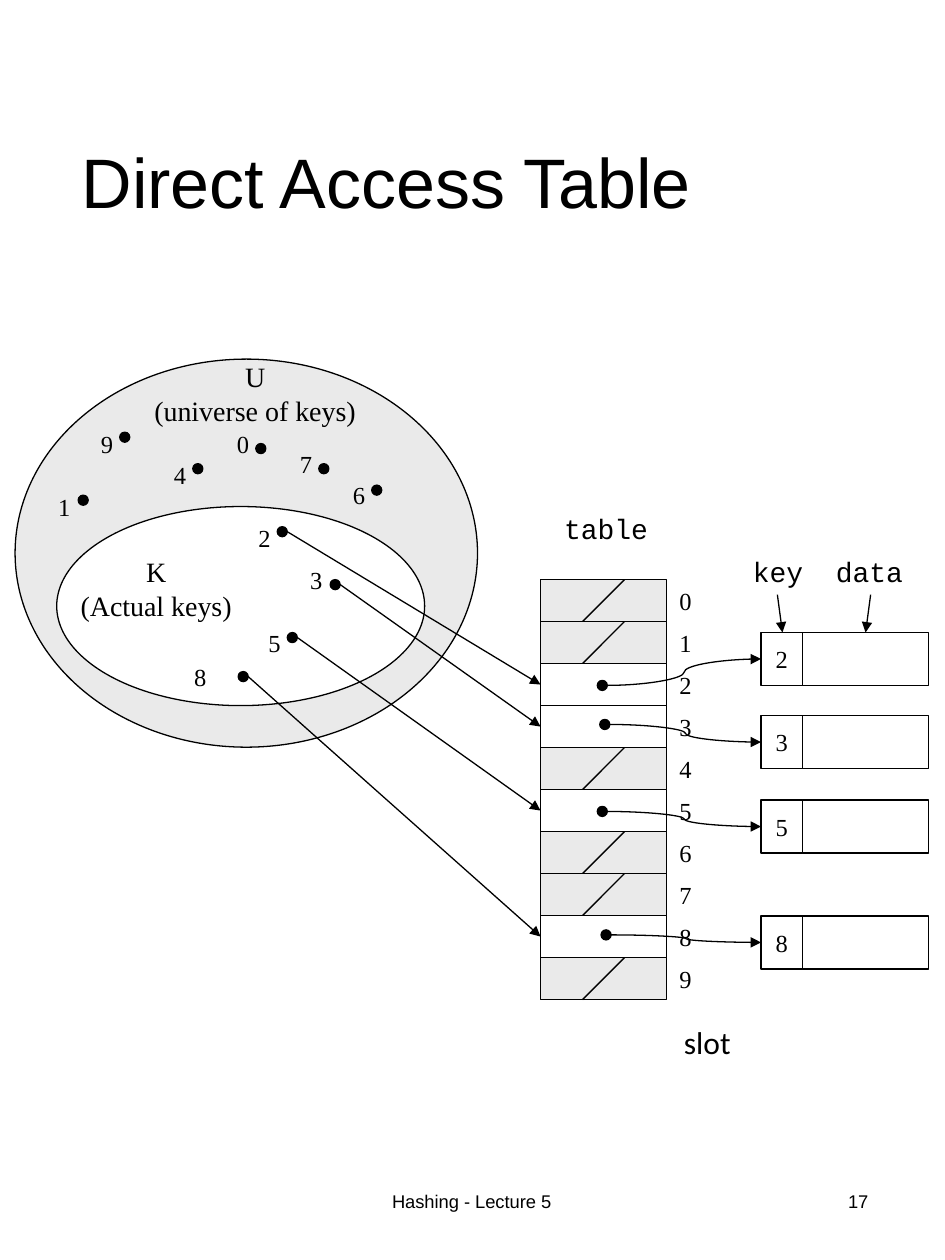
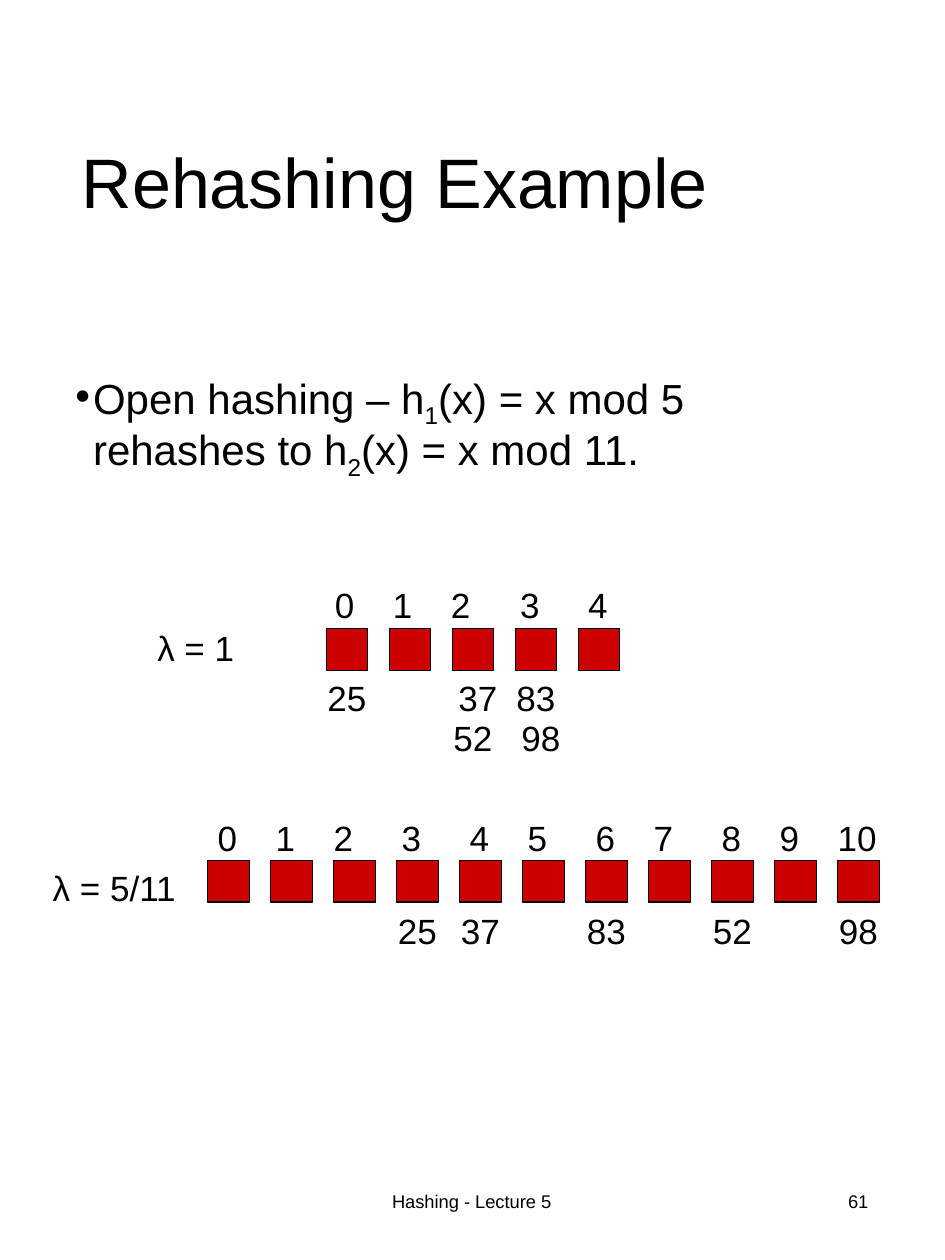
"""Build two lecture slides on hashing: a direct access table and a rehashing example."""
from dataclasses import dataclass

from lxml import etree
from pptx import Presentation
from pptx.dml.color import RGBColor
from pptx.enum.shapes import MSO_CONNECTOR, MSO_SHAPE
from pptx.enum.text import MSO_ANCHOR, PP_ALIGN
from pptx.oxml.ns import qn
from pptx.util import Inches, Pt

RECT, OVAL = MSO_SHAPE.RECTANGLE, MSO_SHAPE.OVAL
STRAIGHT, CURVE = MSO_CONNECTOR.STRAIGHT, MSO_CONNECTOR.CURVE
LEFT, CENTER, RIGHT = PP_ALIGN.LEFT, PP_ALIGN.CENTER, PP_ALIGN.RIGHT
TOP, MIDDLE = MSO_ANCHOR.TOP, MSO_ANCHOR.MIDDLE


@dataclass(frozen=True)
class Theme:
    """Colours, fonts and type sizes of the deck."""
    ink: RGBColor = RGBColor(0, 0, 0)
    paper: RGBColor = RGBColor(255, 255, 255)
    gray: RGBColor = RGBColor(0xEA, 0xEA, 0xEA)
    red: RGBColor = RGBColor(0xCC, 0, 0)
    sans: str = "Arial"
    serif: str = "Times New Roman"
    mono: str = "Courier New"
    plain: str = "Calibri"
    title: float = 40
    body: float = 24
    number: float = 20
    slot: float = 18
    label: float = 16
    key: float = 14
    footer: float = 10.5
    line: float = 0.75


T = Theme()
FOOTER = "Hashing - Lecture 5"

SETS = [
    ((0.12, 2.85, 3.67, 3.08), T.gray, ["U", "(universe of keys)"], (1.11, 2.8, 1.83, 0.64)),
    ((0.45, 4.02, 2.92, 1.58), T.paper, ["K", "(Actual keys)"], (0.53, 4.35, 1.42, 0.64)),
]
KEYS = {
    0: ((1.78, 3.35), (2.03, 3.52)),
    1: ((0.36, 3.85), (0.62, 3.93)),
    2: ((1.95, 4.1), (2.2, 4.18)),
    3: ((2.36, 4.43), (2.62, 4.6)),
    4: ((1.28, 3.6), (1.53, 3.68)),
    5: ((2.03, 4.93), (2.28, 5.02)),
    6: ((2.7, 3.76), (2.95, 3.85)),
    7: ((2.28, 3.51), (2.53, 3.68)),
    8: ((1.44, 5.2), (1.89, 5.33)),
    9: ((0.7, 3.35), (0.95, 3.43)),
}
RECORDS = {
    2: ((4.74, 5.4), 5.02),
    3: ((4.76, 5.71), 5.68),
    5: ((4.74, 6.4), 6.35),
    8: ((4.77, 7.38), 7.27),
}
HEADINGS = [
    ("table", (4.37, 4.01, 0.88, 0.37)),
    ("key", (5.87, 4.35, 0.61, 0.37)),
    ("data", (6.53, 4.35, 0.74, 0.37)),
]
HEADING_ARROWS = [((6.17, 4.72), (6.21, 5.02)), ((6.91, 4.72), (6.87, 5.02))]
DOT, SLOT_X, SLOT_Y, SLOT_W, SLOT_H = 0.08, 4.29, 4.6, 1, 1 / 3
KEY_X, KEY_W, DATA_W, RECORD_H = 6.04, 0.33, 1, 0.42

RULE = [("Open hashing – h", False), ("1", True), ("(x) = x mod 5 rehashes to h", False),
        ("2", True), ("(x) = x mod 11.", False)]
BUCKET, BUCKET_STEP = 0.33, 0.5
BUCKETS = [(5, 2.59, 4.99), (11, 1.65, 6.83)]
LOADS = [("λ = 1", (1.15, 4.92, 0.83, 0.44)), ("λ = 5/11", (0.32, 6.83, 1.2, 0.44))]
NUMBER_ROWS = [
    (4.58, {0: 2.66, 1: 3.12, 2: 3.58, 3: 4.13, 4: 4.67}),
    (5.32, {25: 2.6, 37: 3.64, 83: 4.1}),
    (5.64, {52: 3.6, 98: 4.14}),
    (6.43, {0: 1.73, 1: 2.19, 2: 2.65, 3: 3.19, 4: 3.73, 5: 4.19, 6: 4.73,
            7: 5.19, 8: 5.73, 9: 6.19, 10: 6.65}),
    (7.17, {25: 3.16, 37: 3.66, 83: 4.66, 52: 5.66, 98: 6.66}),
]


def inches(values):
    return [Inches(v) for v in values]


def style(run, font, size):
    run.font.name, run.font.size, run.font.color.rgb = font, Pt(size), T.ink


def write(sp, lines, font, size, align=CENTER, anchor=MIDDLE, wrap=False):
    tf = sp.text_frame
    tf.word_wrap, tf.vertical_anchor = wrap, anchor
    tf.text = "\n".join(lines)
    for p in tf.paragraphs:
        p.alignment = align
        for r in p.runs:
            style(r, font, size)
    return tf


def add_text(s, box, lines, font, size, **options):
    return write(s.shapes.add_textbox(*inches(box)), lines, font, size, **options)


def add_shape(s, kind, box, fill=None):
    sp = s.shapes.add_shape(kind, *inches(box))
    sp.shadow.inherit = False
    if fill is None:
        sp.fill.background()
    else:
        sp.fill.solid()
        sp.fill.fore_color.rgb = fill
    sp.line.color.rgb, sp.line.width = T.ink, Pt(T.line)
    return sp


def add_line(s, start, end, kind=STRAIGHT, arrow=True):
    cx = s.shapes.add_connector(kind, *inches(start + end))
    cx.line.color.rgb, cx.line.width = T.ink, Pt(T.line)
    if arrow:
        etree.SubElement(cx.line._get_or_add_ln(), qn("a:tailEnd"), type="triangle")
    etree.SubElement(cx._element.spPr, qn("a:effectLst"))


def add_dot(s, corner):
    add_shape(s, OVAL, (*corner, DOT, DOT), T.ink)
    return corner[0] + DOT, corner[1] + DOT / 2


def add_key_label(s, key, corner):
    add_text(s, (*corner, 0.3, 0.34), [str(key)], T.serif, T.key)


def add_slide(prs, title, number):
    s = prs.slides.add_slide(prs.slide_layouts[6])
    add_text(s, (2.48, 9.27, 2.53, 0.53), [FOOTER], T.sans, T.footer, wrap=True)
    add_text(s, (5.3, 9.27, 1.69, 0.53), [str(number)], T.sans, T.footer, align=RIGHT, wrap=True)
    tf = add_text(s, (0.55, 0.51, 6.47, 1.93), [title], T.sans, T.title, align=LEFT, wrap=True)
    tf.paragraphs[0].line_spacing = 0.9
    return s


def build_direct_access(prs):
    s = add_slide(prs, "Direct Access Table", 17)
    for box, fill, lines, label_box in SETS:
        add_shape(s, OVAL, box, fill)
        add_text(s, label_box, lines, T.serif, T.label)
    for slot in range(10):
        top = SLOT_Y + slot * SLOT_H
        used = slot in RECORDS
        add_shape(s, RECT, (SLOT_X, top, SLOT_W, SLOT_H), T.paper if used else T.gray)
        if not used:
            add_line(s, (SLOT_X + SLOT_W / 3, top + SLOT_H),
                     (SLOT_X + SLOT_W * 2 / 3, top), arrow=False)
        add_key_label(s, slot, (SLOT_X + SLOT_W, top))
    for key, (label, dot) in KEYS.items():
        add_key_label(s, key, label)
        start = add_dot(s, dot)
        if key in RECORDS:
            add_line(s, start, (SLOT_X, SLOT_Y + (key + 0.5) * SLOT_H))
    for key, (dot, top) in RECORDS.items():
        sp = add_shape(s, RECT, (KEY_X, top, KEY_W, RECORD_H))
        write(sp, [str(key)], T.serif, T.key)
        add_shape(s, RECT, (KEY_X + KEY_W, top, DATA_W, RECORD_H), T.paper)
        add_line(s, add_dot(s, dot), (KEY_X, top + RECORD_H / 2), CURVE)
    for word, box in HEADINGS:
        add_text(s, box, [word], T.mono, T.label)
    for start, end in HEADING_ARROWS:
        add_line(s, start, end)
    add_text(s, (5.33, 8.07, 0.6, 0.4), ["slot"], T.plain, T.slot, align=LEFT, anchor=TOP)


def add_rule(s):
    tf = s.shapes.add_textbox(*inches((0.5, 2.85, 6.38, 0.94))).text_frame
    tf.word_wrap, tf.margin_top = True, Inches(0.11)
    p = tf.paragraphs[0]
    p.line_spacing = 0.9
    pPr = p._p.get_or_add_pPr()
    pPr.set("marL", str(Inches(0.14)))
    pPr.set("indent", str(-Inches(0.14)))
    etree.SubElement(pPr, qn("a:buFont"), typeface=T.sans)
    etree.SubElement(pPr, qn("a:buChar"), char="•")
    for text, subscript in RULE:
        r = p.add_run()
        r.text = text
        style(r, T.sans, T.body)
        if subscript:
            r._r.get_or_add_rPr().set("baseline", "-25000")


def add_number_row(s, top, numbers):
    first, *stops = numbers.values()
    box = (first - 0.1, top, stops[-1] - first + 0.55, 0.44)
    tf = add_text(s, box, ["\t".join(map(str, numbers))], T.sans, T.number,
                  align=LEFT, anchor=TOP)
    tabs = etree.SubElement(tf.paragraphs[0]._p.get_or_add_pPr(), qn("a:tabLst"))
    for x in stops:
        etree.SubElement(tabs, qn("a:tab"), pos=str(Inches(x - first)), algn="l")


def build_rehashing(prs):
    s = add_slide(prs, "Rehashing Example", 61)
    add_rule(s)
    for count, left, top in BUCKETS:
        for i in range(count):
            add_shape(s, RECT, (left + i * BUCKET_STEP, top, BUCKET, BUCKET), T.red)
    for top, numbers in NUMBER_ROWS:
        add_number_row(s, top, numbers)
    for text, box in LOADS:
        add_text(s, box, [text], T.sans, T.number, align=LEFT, anchor=TOP)


def main():
    prs = Presentation()
    prs.slide_width, prs.slide_height = Inches(7.5), Inches(10)
    build_direct_access(prs)
    build_rehashing(prs)
    prs.save("out.pptx")


if __name__ == "__main__":
    main()
